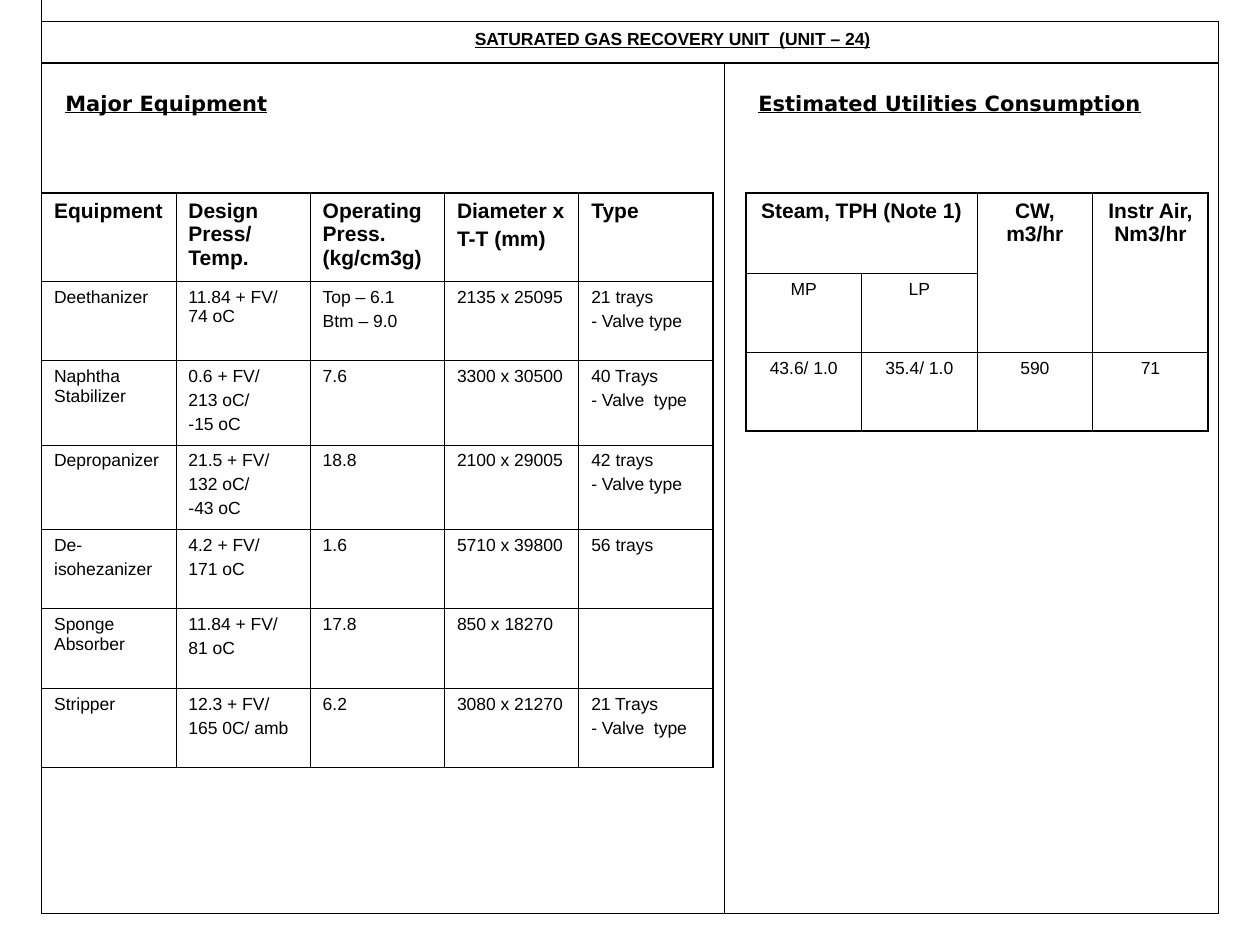
from lxml import etree
from pptx import Presentation
from pptx.dml.color import RGBColor
from pptx.enum.shapes import MSO_CONNECTOR
from pptx.enum.text import PP_ALIGN
from pptx.oxml.ns import qn
from pptx.util import Inches, Pt

BLACK = RGBColor(0, 0, 0)
STRAIGHT = MSO_CONNECTOR.STRAIGHT
LEFT, CENTER = PP_ALIGN.LEFT, PP_ALIGN.CENTER
HEAD = {"name": "Arial", "size": Pt(12), "bold": True}
BODY = {"name": "Arial", "size": Pt(10), "bold": False}
TITLE = {"name": "Arial", "size": Pt(10), "bold": True, "underline": True}
TOPIC = {"name": "DejaVu Sans", "size": Pt(12), "bold": True, "underline": True}
THIN, THICK = Pt(0.45), Pt(1.08)


def write(frame, text, style, align=LEFT):
    frame.word_wrap = True
    for i, line in enumerate(text.split("\n")):
        para = frame.paragraphs[0] if i == 0 else frame.add_paragraph()
        para.text = line
        para.alignment = align
        if i:
            para.space_before = style["size"] // 4
        for key, value in style.items():
            setattr(para.font, key, value)
        para.font.color.rgb = BLACK


def edge(cell, side, width):
    props = cell._tc.get_or_add_tcPr()
    line = etree.SubElement(props, qn("a:" + side), w=str(width))
    fill = etree.SubElement(line, qn("a:solidFill"))
    etree.SubElement(fill, qn("a:srgbClr"), val=str(BLACK))


deck = Presentation()
deck.slide_width, deck.slide_height = Inches(10), Inches(7.5)
slide = deck.slides.add_slide(deck.slide_layouts[6])
shapes = slide.shapes

rules = [
    (0.33, 0.17, 9.67, 0.17),
    (0.33, 0, 0.33, 7.25),
    (0.33, 7.25, 9.67, 7.25),
    (9.67, 0.17, 9.67, 7.25),
    (0.33, 0.5, 9.67, 0.5),
    (5.75, 0.5, 5.75, 7.25),
]
for ends in rules:
    rule = shapes.add_connector(STRAIGHT, *map(Inches, ends))
    rule.line.color.rgb = BLACK
    rule.line.width = Pt(0.75)
    etree.SubElement(rule._element.spPr, qn("a:effectLst"))

labels = [
    ("SATURATED GAS RECOVERY UNIT  (UNIT – 24)", (3.67, 0.17, 4.17, 0.44), TITLE),
    ("Major Equipment", (0.42, 0.67, 4.58, 0.3), TOPIC),
    ("Estimated Utilities Consumption", (5.92, 0.67, 3.58, 0.3), TOPIC),
]
for text, place, style in labels:
    box = shapes.add_textbox(*map(Inches, place))
    write(box.text_frame, text, style)

units = [
    ["Equipment", "Design Press/ Temp.", "Operating Press. (kg/cm3g)",
     "Diameter x\nT-T (mm)", "Type"],
    ["Deethanizer", "11.84 + FV/ 74 oC", "Top – 6.1\nBtm – 9.0",
     "2135 x 25095", "21 trays\n- Valve type"],
    ["Naphtha Stabilizer", "0.6 + FV/\n213 oC/\n-15 oC", "7.6",
     "3300 x 30500", "40 Trays\n- Valve  type"],
    ["Depropanizer", "21.5 + FV/\n132 oC/\n-43 oC", "18.8",
     "2100 x 29005", "42 trays\n- Valve type"],
    ["De-\nisohezanizer", "4.2 + FV/\n171 oC", "1.6",
     "5710 x 39800", "56 trays"],
    ["Sponge Absorber", "11.84 + FV/\n81 oC", "17.8", "850 x 18270", ""],
    ["Stripper", "12.3 + FV/\n165 0C/ amb", "6.2",
     "3080 x 21270", "21 Trays\n- Valve  type"],
]
usage = [
    ["Steam, TPH (Note 1)", "", "CW, m3/hr", "Instr Air, Nm3/hr"],
    ["MP", "LP", "", ""],
    ["43.6/ 1.0", "35.4/ 1.0", "590", "71"],
]
spans = [((0, 0), (0, 1)), ((0, 2), (1, 2)), ((0, 3), (1, 3))]
grids = [
    (units, 0.33, 5.33, [0.7, 0.63, 0.67, 0.67, 0.63, 0.63, 0.63], LEFT, []),
    (usage, 5.92, 3.67, [0.64, 0.63, 0.62], CENTER, spans),
]
for data, left, width, highs, align, joins in grids:
    rows, cols = len(data), len(data[0])
    place = map(Inches, (left, 1.53, width, sum(highs)))
    table = shapes.add_table(rows, cols, *place).table
    table.first_row = table.horz_banding = False
    for col in table.columns:
        col.width = Inches(width / cols)
    for row, high in zip(table.rows, highs):
        row.height = Inches(high)
    for start, end in joins:
        table.cell(*start).merge(table.cell(*end))
    for r, texts in enumerate(data):
        for c, text in enumerate(texts):
            cell = table.cell(r, c)
            write(cell.text_frame, text, BODY if r else HEAD, align)
            outer = {"lnL": c == 0, "lnR": c == cols - 1,
                     "lnT": r == 0, "lnB": r == rows - 1}
            for side, rim in outer.items():
                edge(cell, side, THICK if rim else THIN)
            cell.fill.background()

deck.save("out.pptx")
